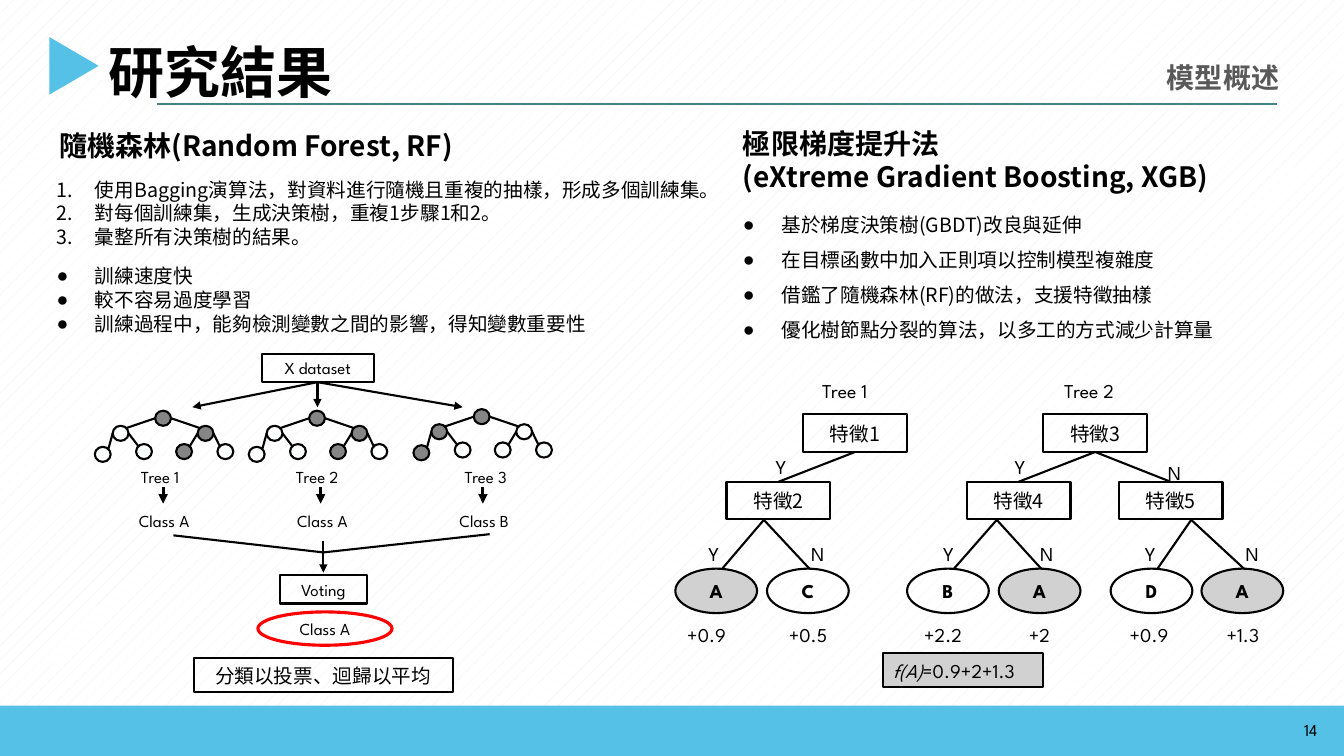
from dataclasses import dataclass

from lxml.etree import SubElement
from pptx import Presentation
from pptx.dml.color import RGBColor
from pptx.enum.dml import MSO_PATTERN
from pptx.enum.shapes import MSO_CONNECTOR, MSO_SHAPE as SHAPE
from pptx.enum.text import MSO_ANCHOR as ANCHOR, MSO_AUTO_SIZE, PP_ALIGN as ALIGN
from pptx.oxml.ns import qn
from pptx.util import Cm, Pt

# Content: lengths in cm
TITLE, TOPIC, PAGE = "研究結果", "模型概述", "14"
RF_HEAD = ["隨機森林(Random Forest, RF)"]
RF_STEPS = ["使用Bagging演算法，對資料進行隨機且重複的抽樣，形成多個訓練集。",
            "對每個訓練集，生成決策樹，重複1步驟1和2。",
            "彙整所有決策樹的結果。"]
RF_TRAITS = ["訓練速度快", "較不容易過度學習", "訓練過程中，能夠檢測變數之間的影響，得知變數重要性"]
XGB_HEAD = ["極限梯度提升法", "(eXtreme Gradient Boosting, XGB)"]
XGB_TRAITS = ["基於梯度決策樹(GBDT)改良與延伸", "在目標函數中加入正則項以控制模型複雜度",
              "借鑑了隨機森林(RF)的做法，支援特徵抽樣", "優化樹節點分裂的算法，以多工的方式減少計算量"]

# Forest tree: node -> (parent, offset from root)
NODES = {"root": (None, 0, 0), "L": ("root", -1.07, .38), "R": ("root", 1.07, .38),
         "LL": ("L", -1.52, .91), "LR": ("L", -.48, .84),
         "RL": ("R", .53, .84), "RR": ("R", 1.57, .84)}
# root x, root y, visited nodes, (name, left), (vote, left), arrow x
FOREST = [(4.11, 10.54, ("root", "R", "RL"), ("Tree 1", 3.3), ("Class A", 3.25), 4.11),
          (7.99, 10.54, ("root", "R", "RL"), ("Tree 2", 7.21), ("Class A", 7.24), 8.08),
          (12.14, 10.5, ("root", "L", "LL"), ("Tree 3", 11.46), ("Class B", 11.33), 12.17)]

# Boosting features: name -> left, top
FEATURES = {"特徵1": (20.24, 10.44), "特徵2": (18.31, 12.14), "特徵3": (26.29, 10.44),
            "特徵4": (24.36, 12.14), "特徵5": (28.19, 12.14)}
# parent, child, answer, answer left, answer top
BRANCHES = [("特徵1", "特徵2", "Y", 19.3, 11.35), ("特徵3", "特徵4", "Y", 25.32, 11.35),
            ("特徵3", "特徵5", "N", 29.18, 11.48)]
# fork x, two leaves: left, class, answer, answer left, score, score left
FORKS = [(19.25, [(17.02, "A", "Y", 17.6, "+0.9", 17.07), (19.33, "C", "N", 20.19, "+0.5", 19.63)]),
         (25.12, [(22.86, "B", "Y", 23.52, "+2.2", 23.04), (25.17, "A", "N", 25.96, "+2", 25.68)]),
         (30.02, [(27.99, "D", "Y", 28.6, "+0.9", 28.22), (30.28, "A", "N", 31.14, "+1.3", 30.66)])]
BOOST_NAMES = [("Tree 1", 20.47), ("Tree 2", 26.57)]


@dataclass(frozen=True)
class Theme:
    cjk: str = "Noto Sans CJK SC"
    latin: str = "League Spartan"
    black: str = "000000"
    grey: str = "595959"
    blue: str = "55C1E7"
    green: str = "458482"
    red: str = "FF0000"
    white: str = "FDFFFF"
    visited: str = "858585"
    chosen: str = "D1D1D1"
    pattern: str = "F2F2F2"
    thin: float = 1.5
    thick: float = 2.25


T = Theme()
# Each text style: font values, colour and fixed line height
STYLES = {
    "title": (dict(name=T.cjk, size=Pt(40), bold=True), T.black, 48),
    "topic": (dict(name=T.cjk, size=Pt(20), bold=True), T.grey, 24),
    "head": (dict(name=T.cjk, size=Pt(20), bold=True), T.black, 24),
    "list": (dict(name=T.cjk, size=Pt(14), bold=False), T.black, 17),
    "open list": (dict(name=T.cjk, size=Pt(14), bold=False), T.black, 25),
    "small": (dict(name=T.latin, size=Pt(12), bold=False), T.black, None),
    "label": (dict(name=T.latin, size=Pt(14), bold=False), T.black, None),
    "leaf": (dict(name=T.latin, size=Pt(14), bold=True), T.black, None),
}

prs = Presentation()
prs.slide_width, prs.slide_height = Cm(33.87), Cm(19.05)
s = prs.slides.add_slide(prs.slide_layouts[4])
rgb = RGBColor.from_string


def write(tf, lines, style, align=ALIGN.LEFT, anchor=ANCHOR.TOP):
    """Fill a frame; a line is a string or a list of (text, italic) runs."""
    fmt, color, height = STYLES[style]
    for key, value in dict(word_wrap=True, auto_size=MSO_AUTO_SIZE.NONE,
                           vertical_anchor=anchor).items():
        setattr(tf, key, value)
    for i, line in enumerate(lines):
        p = tf.paragraphs[0] if i == 0 else tf.add_paragraph()
        for key, value in dict(alignment=align, space_before=Pt(0), space_after=Pt(0),
                               line_spacing=Pt(height) if height else 1.0).items():
            setattr(p, key, value)
        for text, italic in [(line, False)] if isinstance(line, str) else line:
            r = p.add_run()
            r.text = text
            for key, value in dict(fmt, italic=italic).items():
                setattr(r.font, key, value)
            r.font.color.rgb = rgb(color)
            SubElement(r._r.get_or_add_rPr(), qn("a:ea")).set("typeface", fmt["name"])


def mark(p, tag, **attrs):
    """Give a paragraph a hanging bullet or number."""
    pPr = p._p.get_or_add_pPr()
    pPr.set("marL", str(Cm(.97)))
    pPr.set("indent", str(-Cm(.97)))
    SubElement(pPr, qn("a:buFont")).set("typeface", "Arial")
    bu = SubElement(pPr, qn(tag))
    for key, value in attrs.items():
        bu.set(key, value)


def place(idx, box, lines, style):
    sp = s.placeholders[idx]
    sp.left, sp.top, sp.width, sp.height = map(Cm, box)
    write(sp.text_frame, lines, style)
    return sp.text_frame.paragraphs


def label(x, y, w, h, text, style, **kw):
    write(s.shapes.add_textbox(Cm(x), Cm(y), Cm(w), Cm(h)).text_frame, [text], style, **kw)


def shape(kind, x, y, w, h, fill=None, line=T.black, weight=T.thin, text=None,
          style="small", align=ALIGN.CENTER, anchor=ANCHOR.MIDDLE):
    sp = s.shapes.add_shape(kind, Cm(x), Cm(y), Cm(w), Cm(h))
    sp.shadow.inherit = False
    for part, color in ((sp.fill, fill), (sp.line.fill, line)):
        if color:
            part.solid()
            part.fore_color.rgb = rgb(color)
        else:
            part.background()
    if line:
        sp.line.width = Pt(weight)
    if text:
        write(sp.text_frame, [text], style, align, anchor)
    return sp


def connect(x1, y1, x2, y2, color=T.black, weight=T.thin, arrow=False):
    c = s.shapes.add_connector(MSO_CONNECTOR.STRAIGHT, Cm(x1), Cm(y1), Cm(x2), Cm(y2))
    c.line.color.rgb = rgb(color)
    c.line.width = Pt(weight)
    if arrow:
        SubElement(c.line._get_or_add_ln(), qn("a:tailEnd")).set("type", "triangle")
    SubElement(c._element.spPr, qn("a:effectLst"))


# Background, header and footer
bg = s.background.fill
bg.patterned()
bg.pattern = MSO_PATTERN.PERCENT_5
bg.fore_color.rgb, bg.back_color.rgb = rgb(T.pattern), rgb("FFFFFF")
connect(3.96, 2.62, 32.18, 2.62, T.green, 1)
shape(SHAPE.ISOSCELES_TRIANGLE, 1.14, 1.04, 1.45, 1.24, T.blue, None).rotation = 90
place(0, (2.49, .81, 8, 1.96), [TITLE], "title")
label(29.16, 1.4, 4.6, 1.17, TOPIC, "topic")
shape(SHAPE.RECTANGLE, 0, 17.78, 33.87, 1.27, T.blue, None)
label(25.83, 18.03, 7.62, .71, PAGE, "small", align=ALIGN.RIGHT, anchor=ANCHOR.MIDDLE)

# Headings and lists
place(1, (1.24, 3.1, 14.66, 1.12), RF_HEAD, "head")
place(3, (18.47, 3.05, 15, 1.96), XGB_HEAD, "head")
rf = place(2, (1.17, 4.34, 21.95, 4.2), RF_STEPS + RF_TRAITS, "list")
xgb = place(4, (18.47, 4.96, 15, 4), XGB_TRAITS, "open list")
steps = len(RF_STEPS)
rf[steps].space_before = Pt(11)
for p in rf[:steps]:
    mark(p, "a:buAutoNum", type="arabicPeriod")
for p in (*rf[steps:], *xgb):
    mark(p, "a:buChar", char="●")

# Random forest: data set, three trees, vote
NODE_W, NODE_H = .4, .38
shape(SHAPE.RECTANGLE, 6.6, 8.92, 2.82, .71, text="X dataset")
for x in (4.85, 8, 11.66):
    connect(8, 9.63, x, 10.26, arrow=True)
for rx, ry, visited, (name, name_x), (vote, vote_x), arrow_x in FOREST:
    for node, (parent, dx, dy) in NODES.items():
        if parent:
            _, px, py = NODES[parent]
            side = 1 if dx > px else -1
            connect(rx + px + side * NODE_W / 2, ry + py,
                    rx + dx - side * .35 * NODE_W, ry + dy - .35 * NODE_H)
        shape(SHAPE.OVAL, rx + dx - NODE_W / 2, ry + dy - NODE_H / 2, NODE_W, NODE_H,
              T.visited if node in visited else T.white)
    label(name_x, 11.63, 2.18, .71, name, "small")
    connect(arrow_x, 12.27, arrow_x, 12.69, weight=T.thick, arrow=True)
    label(vote_x, 12.75, 2.84, .71, vote, "small")
for x, y in ((4.37, 13.49), (12.34, 13.46)):
    connect(x, y, 8.15, 13.92)
connect(8.15, 13.64, 8.15, 14.43, arrow=True)
shape(SHAPE.RECTANGLE, 7.06, 14.5, 2.18, .71, text="Voting")
shape(SHAPE.OVAL, 6.5, 15.42, 3.38, .84, line=T.red, weight=T.thick, text="Class A")
shape(SHAPE.RECTANGLE, 4.88, 16.59, 6.53, .86, text="分類以投票、迴歸以平均", style="list")

# Gradient boosting: features, branches, leaves, sum
BOX_W, BOX_H, LEAF_W, LEAF_TOP = 2.62, .95, 2.06, 14.33
for name, x in BOOST_NAMES:
    label(x, 9.42, 2.95, .66, name, "label")
for name, (x, y) in FEATURES.items():
    shape(SHAPE.RECTANGLE, x, y, BOX_W, BOX_H, text=name, style="list")
for parent, child, answer, x, y in BRANCHES:
    (px, py), (cx, cy) = FEATURES[parent], FEATURES[child]
    connect(px + BOX_W / 2, py + BOX_H, cx + BOX_W / 2, cy)
    label(x, y, .97, .66, answer, "label")
for fork_x, leaves in FORKS:
    for x, leaf, answer, answer_x, score, score_x in leaves:
        end = x + LEAF_W / 2 + (.15 if answer == "Y" else .04)
        connect(fork_x, 13.1, end, LEAF_TOP)
        shape(SHAPE.OVAL, x, LEAF_TOP, LEAF_W, 1.12, T.chosen if leaf == "A" else None,
              text=leaf, style="leaf")
        label(answer_x, 13.53, .97, .66, answer, "label")
        label(score_x, 15.56, 2.2, .66, score, "label")
shape(SHAPE.RECTANGLE, 22.25, 16.46, 4.04, .86, T.chosen, style="label", align=ALIGN.LEFT,
      text=[("f(A)", True), ("=0.9+2+1.3", False)])

prs.save("out.pptx")
